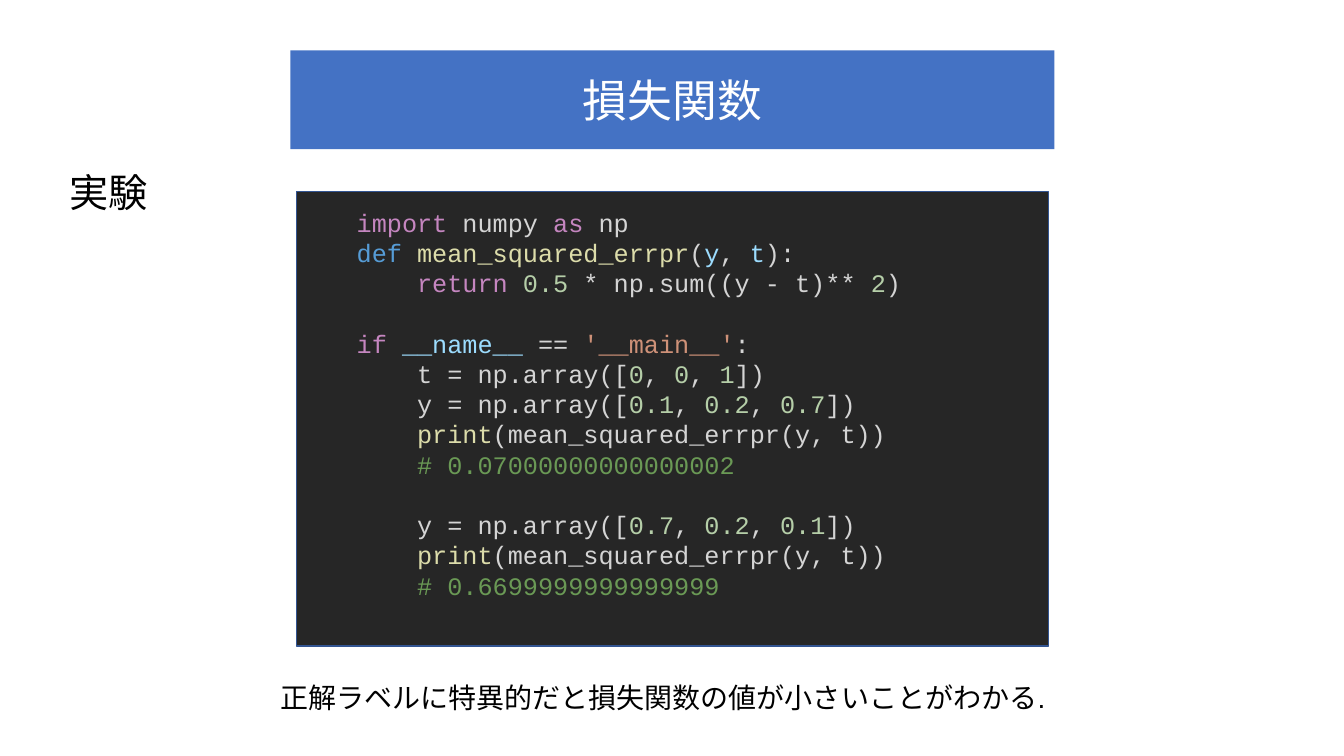
"""Builds the loss function slide with its code panel."""
from dataclasses import dataclass
from typing import NamedTuple, Optional

from pptx import Presentation
from pptx.dml.color import RGBColor
from pptx.enum import shapes, text
from pptx.util import Pt


@dataclass(frozen=True)
class Theme:
    sans: str = "Arial"
    mono: str = "Courier New"
    title_size: float = 32
    label_size: float = 28
    note_size: float = 20
    code_size: float = 18
    code_pitch: float = 21.6
    code_margin: float = 36
    code_indent: float = 43.2
    white: str = "FFFFFF"
    black: str = "000000"
    banner: str = "4472C4"
    panel: str = "262626"
    border: str = "325491"
    plain: str = "D4D4D4"
    control: str = "C586C0"
    keyword: str = "569CD6"
    function: str = "DCDCAA"
    variable: str = "9CDCFE"
    number: str = "B5CEA8"
    string: str = "CE9178"
    remark: str = "6A9955"


THEME = Theme()


class Box(NamedTuple):
    left: float
    top: float
    width: float
    height: float


class Token(NamedTuple):
    text: str
    color: str = THEME.plain


@dataclass(frozen=True)
class CodeLine:
    tokens: list[Token]
    indented: bool = True
    gap_above: bool = False


@dataclass(frozen=True)
class Caption:
    text: str
    box: Box
    size: float


def array_line(name: str, values: list[str], gap_above: bool = False) -> CodeLine:
    """Return an assignment of an array with coloured numbers."""
    tokens = [Token(f"{name} = np.array([")]
    for i, value in enumerate(values):
        if i:
            tokens.append(Token(", "))
        tokens.append(Token(value, THEME.number))
    return CodeLine(tokens + [Token("])")], gap_above=gap_above)


def result_lines(value: str) -> list[CodeLine]:
    """Return a print call and the remark that holds its output."""
    call = [Token("print", THEME.function), Token("(mean_squared_errpr(y, t))")]
    return [CodeLine(call), CodeLine([Token(f"# {value}", THEME.remark)])]


CODE = [
    CodeLine([Token("import ", THEME.control), Token("numpy "),
              Token("as", THEME.control), Token(" np")], indented=False),
    CodeLine([Token("def ", THEME.keyword), Token("mean_squared_errpr", THEME.function),
              Token("("), Token("y", THEME.variable), Token(", "),
              Token("t", THEME.variable), Token("):")], indented=False),
    CodeLine([Token("return ", THEME.control), Token("0.5", THEME.number),
              Token(" * np.sum((y - t)** "), Token("2", THEME.number), Token(")")]),
    CodeLine([Token("if ", THEME.control), Token("__name__", THEME.variable),
              Token(" == "), Token("'__main__'", THEME.string), Token(":")],
             indented=False, gap_above=True),
    array_line("t", ["0", "0", "1"]),
    array_line("y", ["0.1", "0.2", "0.7"]),
    *result_lines("0.07000000000000002"),
    array_line("y", ["0.7", "0.2", "0.1"], gap_above=True),
    *result_lines("0.6699999999999999"),
]

CAPTIONS = [
    Caption("実験", Box(42.5, 116.6, 565.9, 41), THEME.label_size),
    Caption("正解ラベルに特異的だと損失関数の値が小さいことがわかる.",
            Box(193, 482.4, 685.4, 31.7), THEME.note_size),
]
TITLE_BOX = Box(207.4, 36, 545.8, 70.6)
CODE_BOX = Box(211.7, 136.8, 537.1, 324.7)


def add_run(p, words: str, font: str, size: float, color: str) -> None:
    """Append one formatted run to a paragraph."""
    r = p.add_run()
    r.text = words
    r.font.name = font
    r.font.size = Pt(size)
    r.font.color.rgb = RGBColor.from_string(color)


def add_panel(s, box: Box, fill: str, line: Optional[str] = None):
    """Add a filled rectangle and return its text frame."""
    sp = s.shapes.add_shape(shapes.MSO_SHAPE.RECTANGLE, *map(Pt, box))
    sp.shadow.inherit = False
    sp.fill.solid()
    sp.fill.fore_color.rgb = RGBColor.from_string(fill)
    if line:
        sp.line.color.rgb = RGBColor.from_string(line)
        sp.line.width = Pt(1)
    else:
        sp.line.fill.background()
    tf = sp.text_frame
    tf.word_wrap = True
    tf.vertical_anchor = text.MSO_ANCHOR.MIDDLE
    return tf


def add_title(s, words: str) -> None:
    """Add the title banner."""
    p = add_panel(s, TITLE_BOX, THEME.banner).paragraphs[0]
    p.alignment = text.PP_ALIGN.CENTER
    add_run(p, words, THEME.sans, THEME.title_size, THEME.white)


def add_caption(s, caption: Caption) -> None:
    """Add a plain text box."""
    tf = s.shapes.add_textbox(*map(Pt, caption.box)).text_frame
    tf.word_wrap = True
    tf.auto_size = text.MSO_AUTO_SIZE.SHAPE_TO_FIT_TEXT
    p = tf.paragraphs[0]
    p.space_after = Pt(10)
    add_run(p, caption.text, THEME.sans, caption.size, THEME.black)


def add_code(s, lines: list[CodeLine]) -> None:
    """Add the dark panel with the highlighted program."""
    tf = add_panel(s, CODE_BOX, THEME.panel, THEME.border)
    tf.margin_bottom = Pt(3.6 + THEME.code_pitch)
    for i, line in enumerate(lines):
        p = tf.add_paragraph() if i else tf.paragraphs[0]
        p.alignment = text.PP_ALIGN.LEFT
        p.level = 1
        p.line_spacing = Pt(THEME.code_pitch)
        p.space_before = Pt(THEME.code_pitch if line.gap_above else 0)
        margin = THEME.code_margin + THEME.code_indent * line.indented
        pPr = p._p.get_or_add_pPr()
        pPr.set("marL", str(Pt(margin)))
        pPr.set("indent", "0")
        for token in line.tokens:
            add_run(p, token.text, THEME.mono, THEME.code_size, token.color)


def main() -> None:
    """Build and save the slide."""
    prs = Presentation()
    prs.slide_width, prs.slide_height = Pt(960), Pt(540)
    s = prs.slides.add_slide(prs.slide_layouts[6])
    add_title(s, "損失関数")
    for caption in CAPTIONS:
        add_caption(s, caption)
    add_code(s, CODE)
    prs.save("out.pptx")


if __name__ == "__main__":
    main()
